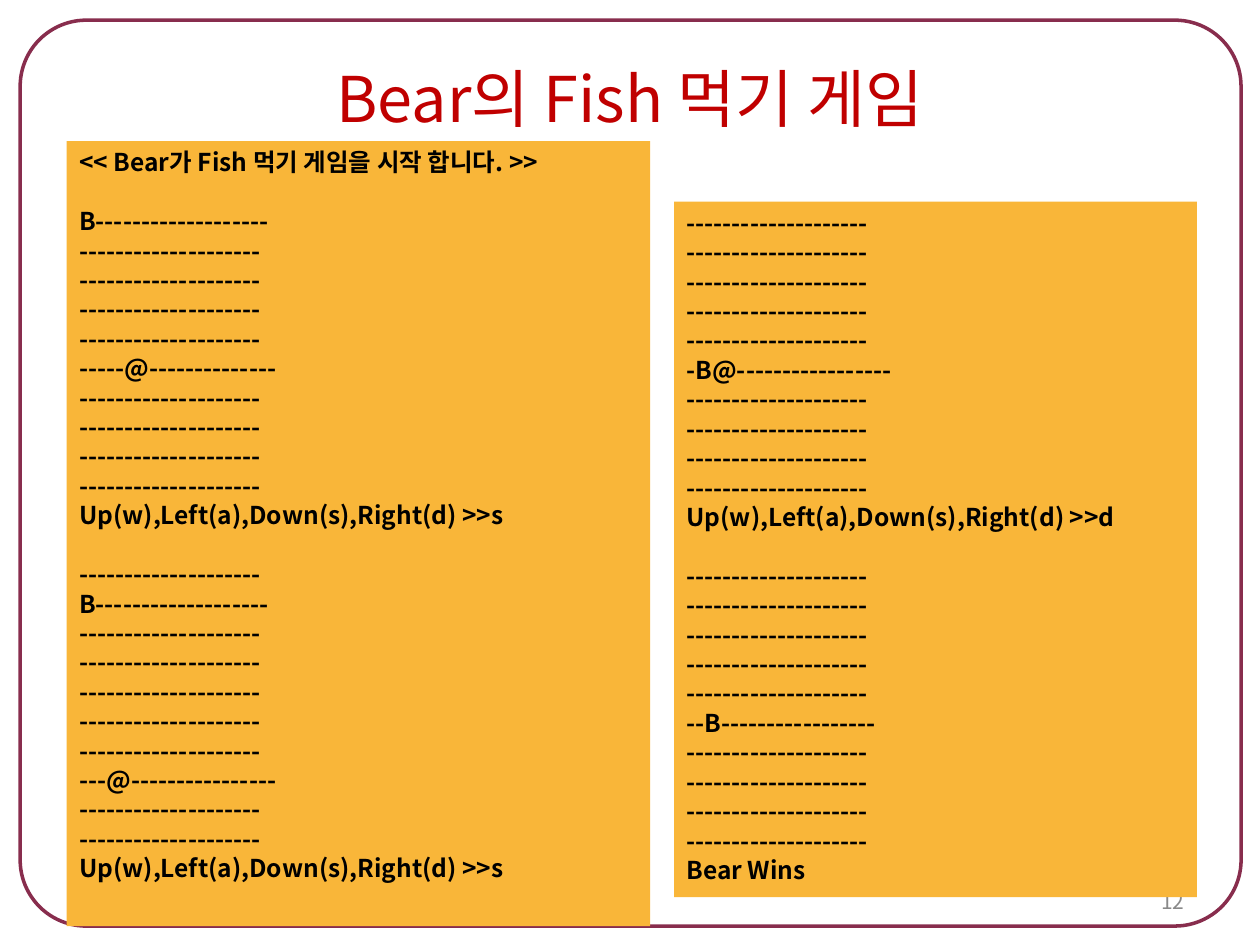
from lxml import etree
from pptx import Presentation, util as u
from pptx.dml.color import RGBColor
from pptx.enum import shapes, text
from pptx.oxml.ns import qn

FONT = "Noto Sans CJK KR"
RED = RGBColor(0xC0, 0x00, 0x00)
PLUM = RGBColor(0x88, 0x2D, 0x4D)
AMBER = RGBColor(0xF9, 0xB6, 0x39)
GREY = RGBColor(0x89, 0x89, 0x89)
BLACK = RGBColor(0, 0, 0)
WHITE = RGBColor(255, 255, 255)
LINE = u.Pt(16.8)
COLS, ROWS = 20, 10
PROMPT = "Up(w),Left(a),Down(s),Right(d) >>"


def inches(*box):
    return [u.Inches(v) for v in box]


def write(p, words, size, color, bold=False, align=text.PP_ALIGN.LEFT):
    p.alignment = align
    r = p.add_run()
    r.text = words
    f = r.font
    f.name, f.size, f.bold = FONT, u.Pt(size), bold
    f.color.rgb = color
    etree.SubElement(r._r.get_or_add_rPr(), qn("a:ea"), typeface=FONT)


def board(marks):
    rows = [["-"] * COLS for _ in range(ROWS)]
    for mark, (row, col) in marks.items():
        rows[row][col] = mark
    return ["".join(row) for row in rows]


def frame(s, box):
    sp = s.shapes.add_shape(shapes.MSO_SHAPE.ROUNDED_RECTANGLE, *inches(*box))
    sp.adjustments[0] = 0.073
    sp.shadow.inherit = False
    sp.fill.background()
    sp.line.color.rgb = PLUM
    sp.line.width = u.Pt(2)


def title(s, box, words):
    sp = s.shapes.title
    sp.left, sp.top, sp.width, sp.height = inches(*box)
    tf = sp.text_frame
    tf.vertical_anchor = text.MSO_ANCHOR.MIDDLE
    write(tf.paragraphs[0], words, 36, RED, align=text.PP_ALIGN.CENTER)


def page_number(s, box, words):
    tf = s.shapes.add_textbox(*inches(*box)).text_frame
    tf.word_wrap = True
    tf.vertical_anchor = text.MSO_ANCHOR.MIDDLE
    write(tf.paragraphs[0], words, 12, GREY, align=text.PP_ALIGN.RIGHT)


def console(s, box, blocks):
    sp = s.shapes.add_shape(shapes.MSO_SHAPE.RECTANGLE, *inches(*box))
    sp.shadow.inherit = False
    sp.fill.solid()
    sp.fill.fore_color.rgb = AMBER
    sp.line.fill.background()
    tf = sp.text_frame
    tf.word_wrap = True
    tf.vertical_anchor = text.MSO_ANCHOR.TOP
    p = tf.paragraphs[0]
    for b, block in enumerate(blocks):
        for i, words in enumerate(block):
            if b or i:
                p = tf.add_paragraph()
            p.line_spacing = LINE
            p.space_before = LINE if b and i == 0 else u.Pt(0)
            write(p, words, 14, BLACK, bold=True)


prs = Presentation()
prs.slide_width, prs.slide_height = inches(10, 7.5)
s = prs.slides.add_slide(prs.slide_layouts[5])
s.background.fill.solid()
s.background.fill.fore_color.rgb = WHITE

frame(s, (0.16, 0.16, 9.69, 7.19))
title(s, (0.5, 0.3, 9, 0.95), "Bear의 Fish 먹기 게임")
page_number(s, (7.17, 6.95, 2.33, 0.4), "12")
console(s, (0.53, 1.12, 4.63, 6.23), [
    ["<< Bear가 Fish 먹기 게임을 시작 합니다. >>"],
    board({"B": (0, 0), "@": (5, 5)}) + [PROMPT + "s"],
    board({"B": (1, 0), "@": (7, 3)}) + [PROMPT + "s"],
])
console(s, (5.35, 1.6, 4.15, 5.52), [
    board({"B": (5, 1), "@": (5, 2)}) + [PROMPT + "d"],
    board({"B": (5, 2)}) + ["Bear Wins"],
])

prs.save("out.pptx")
